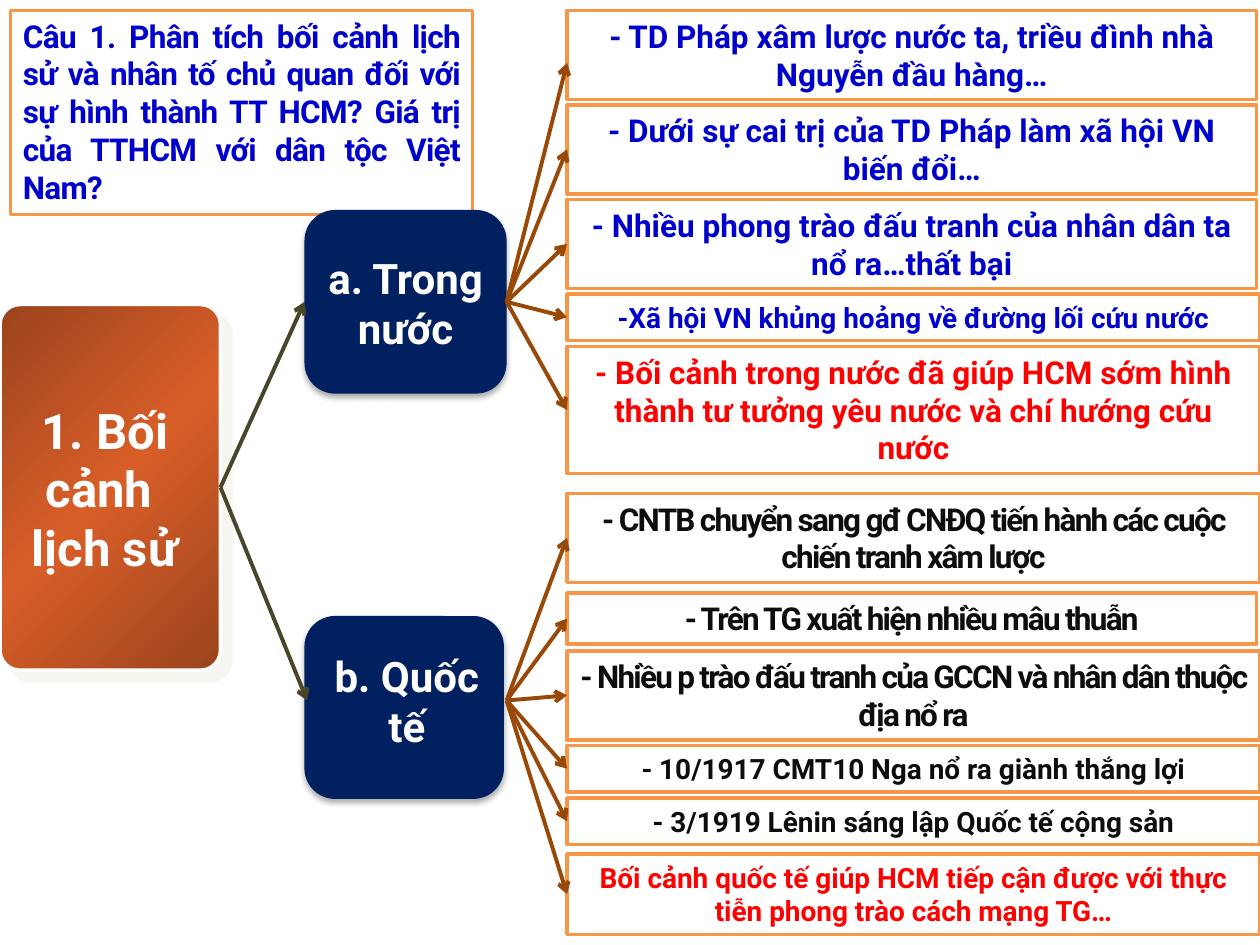
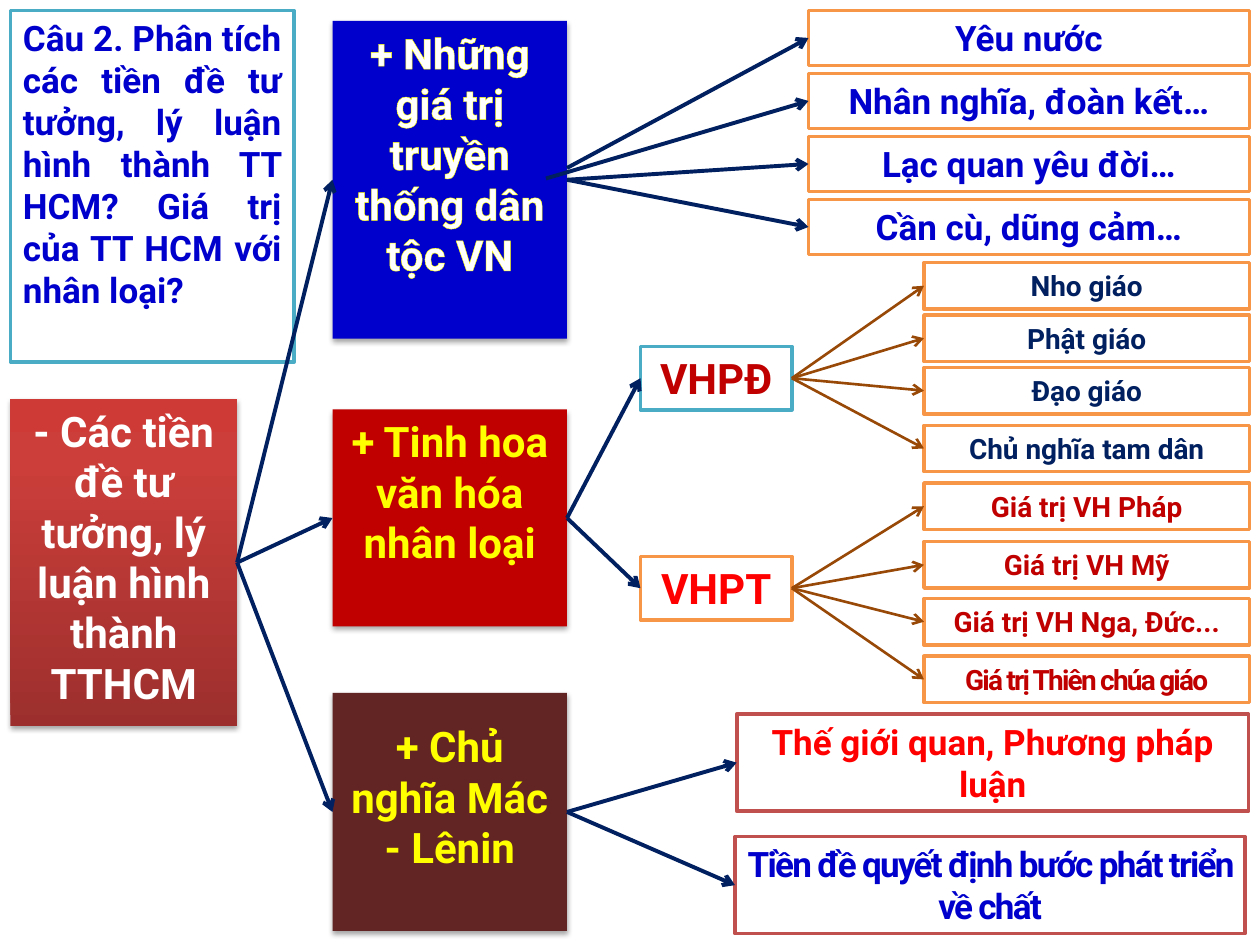
import pptx
import pptx.util
import pptx.dml.color
import pptx.enum.shapes
import pptx.enum.text
import pptx.oxml
import pptx.oxml.ns

Pt = pptx.util.Pt
KIND = pptx.enum.shapes.MSO_SHAPE
ALIGN = pptx.enum.text.PP_ALIGN
ANCHOR = pptx.enum.text.MSO_ANCHOR
qn = pptx.oxml.ns.qn
NS = 'xmlns:a="http://schemas.openxmlformats.org/drawingml/2006/main"'

FONT = "Roboto"
WHITE, BLUE, RED, INK = "FFFFFF", "0000CC", "FF0000", "0D0D0D"
NAVY, CRIMSON, YELLOW = "002060", "C00000", "FFFF00"
ORANGE, TEAL, ROSE = "F79646", "4BACC6", "C0504D"
BROWN, OLIVE = "984807", "4A452A"

# Shadows: colour, opacity %, blur, distance, angle
SOFT = ("000000", 35, 3.1, 1.8, 90)
DEEP = ("000000", 32, 3.5, 2.2, 90)
PALE = ("EEECE1", 50, 0, 8.5, 45)
# Gradients: angle, then (position %, colour)
RUST = (45, [(0, "9B431D"), (50, "D85E28"), (100, "9B431D")])
BRICK = (270, [(0, "9C2F2D"), (80, "CB3E3A"), (100, "CE3B37")])

ASK_1 = ("Câu 1. Phân tích bối cảnh lịch sử và nhân tố chủ quan đối với sự hình "
         "thành TT HCM? Giá trị của TTHCM với dân tộc Việt Nam? ")
ASK_2 = ("Câu 2. Phân tích các tiền đề tư tưởng, lý luận hình thành TT HCM? "
         "Giá trị của TT HCM với nhân loại?")

# Leaves of slide 1: top, width, lines, size, colour, spacing, text
HOME = [
    (6, 394, 2, 18, BLUE, 0, "- TD Pháp xâm lược nước ta, triều đình nhà Nguyễn đầu hàng…"),
    (60, 394, 2, 18, BLUE, 0, "- Dưới sự cai trị của TD Pháp làm xã hội VN biến đổi…"),
    (114, 394, 2, 18, BLUE, 0, "- Nhiều phong trào đấu tranh của nhân dân ta nổ ra…thất bại"),
    (168, 396, 1, 16, BLUE, 0, "-Xã hội VN khủng hoảng về đường lối cứu nước"),
    (198, 396, 3, 18, RED, 0, "- Bối cảnh trong nước đã giúp HCM sớm hình thành tư tưởng "
                              "yêu nước và chí hướng cứu nước"),
]
WORLD = [
    (282, 396, 2, 18, INK, -1, "- CNTB chuyển sang gđ CNĐQ tiến hành các cuộc chiến tranh xâm lược"),
    (339, 394, 1, 18, INK, -1, "- Trên TG xuất hiện nhiều mâu thuẫn"),
    (372, 396, 2, 18, INK, -1, "- Nhiều p trào đấu tranh của GCCN và nhân dân thuộc địa nổ ra"),
    (426, 396, 1, 16, INK, 0, "- 10/1917 CMT10 Nga nổ ra giành thắng lợi"),
    (456, 396, 1, 16, INK, 0, "- 3/1919 Lênin sáng lập Quốc tế cộng sản"),
    (488, 396, 2, 16, RED, 0, "Bối cảnh quốc tế giúp HCM tiếp cận được với thực tiễn "
                              "phong trào cách mạng TG…"),
]

# Blocks of slide 2: top, height, fill, text colour, top inset, text
BLOCKS = [
    (12, 181.5, BLUE, WHITE, 3.6, "+ Những giá trị truyền thống dân tộc VN"),
    (234, 124, CRIMSON, YELLOW, 3.6, "+ Tinh hoa văn hóa nhân loại"),
    (396, 136, "632523", YELLOW, 16, "+ Chủ nghĩa Mác - Lênin"),
]
VALUES = ["Yêu nước", "Nhân nghĩa, đoàn kết…", "Lạc quan yêu đời…", "Cần cù, dũng cảm…"]
# Cultures: top, border, colour, label, leaf colour, leaves (top, spacing, text)
CULTURES = [
    (198, TEAL, CRIMSON, "VHPĐ", NAVY,
     [(150, 0, "Nho giáo"), (180, 0, "Phật giáo"), (210, 0, "Đạo giáo"),
      (243, 0, "Chủ nghĩa tam dân")]),
    (318, ORANGE, RED, "VHPT", CRIMSON,
     [(276, 0, "Giá trị VH Pháp"), (309.5, 0, "Giá trị VH Mỹ"),
      (342, 0, "Giá trị VH Nga, Đức..."), (375, -1, "Giá trị Thiên chúa giáo")]),
]
# Doctrine leaves: left, top, width, colour, spacing, text
DOCTRINE = [
    (421, 408, 292.5, RED, 0, "Thế giới quan, Phương pháp luận"),
    (420, 478, 291.5, BLUE, -1, "Tiền đề quyết định bước phát triển về chất"),
]


def rgb(code):
    return pptx.dml.color.RGBColor.from_string(code)


def tall(size, lines=1):
    """Height of a box that holds this many lines of text."""
    return 7.2 + lines * size * 1.21


def put(item, **values):
    for name, value in values.items():
        setattr(item, name, value)


def xml(text):
    return pptx.oxml.parse_xml(text.replace(" NS", " " + NS, 1))


def blend(shape, angle, stops):
    shape.fill.gradient()
    props = shape.element.spPr
    marks = "".join(f'<a:gs pos="{at * 1000}"><a:srgbClr val="{code}"/></a:gs>'
                    for at, code in stops)
    props.replace(props.find(qn("a:gradFill")), xml(
        f'<a:gradFill NS rotWithShape="1"><a:gsLst>{marks}</a:gsLst>'
        f'<a:lin ang="{angle * 60000}" scaled="0"/></a:gradFill>'))


def shade(shape, code, alpha, blur, dist, angle):
    shape.element.spPr.find(qn("a:effectLst")).append(xml(
        f'<a:outerShdw NS blurRad="{Pt(blur)}" dist="{Pt(dist)}" dir="{angle * 60000}" '
        f'rotWithShape="0"><a:srgbClr val="{code}"><a:alpha val="{alpha * 1000}"/>'
        f'</a:srgbClr></a:outerShdw>'))


def write(shape, text, size, color, space=0, align=ALIGN.CENTER,
          anchor=ANCHOR.TOP, inset=3.6, edge=None):
    frame = shape.text_frame
    put(frame, word_wrap=True, vertical_anchor=anchor, margin_top=Pt(inset))
    frame.text = text
    for para in frame.paragraphs:
        para.alignment = align
        for run in para.runs:
            put(run.font, name=FONT, size=Pt(size), bold=True)
            run.font.color.rgb = rgb(color)
            props = run.font._element
            if space:
                props.set("spc", str(round(space * 100)))
            if edge:
                props.insert(0, xml(f'<a:ln NS w="{Pt(0.75)}"><a:solidFill>'
                                    f'<a:srgbClr val="{edge}"/></a:solidFill></a:ln>'))


def box(page, area, fill=WHITE, border=None, shadow=None, kind=KIND.RECTANGLE):
    shape = page.shapes.add_shape(kind, *map(Pt, area))
    shape.shadow.inherit = False
    if isinstance(fill, tuple):
        blend(shape, *fill)
    else:
        shape.fill.solid()
        shape.fill.fore_color.rgb = rgb(fill)
    if border:
        shape.line.color.rgb = rgb(border)
        shape.line.width = Pt(2)
    else:
        shape.line.fill.background()
    if shadow:
        shade(shape, *shadow)
    return shape


def card(page, area, text, size, color, border=ORANGE, **look):
    """White bordered box with text."""
    shape = box(page, area, border=border)
    write(shape, text, size, color, **look)
    return shape


def label(page, area, text, size, **look):
    write(page.shapes.add_textbox(*map(Pt, area)), text, size, WHITE, **look)


def link(page, start, end, color, width=2.25):
    """Arrow between two ends; an end is a shape to join or a free point."""
    line = page.shapes.add_connector(pptx.enum.shapes.MSO_CONNECTOR.STRAIGHT, 0, 0, 0, 0)
    if isinstance(start, tuple):
        put(line, begin_x=Pt(start[0]), begin_y=Pt(start[1]))
    else:
        line.begin_connect(start, 3)
    if isinstance(end, tuple):
        put(line, end_x=Pt(end[0]), end_y=Pt(end[1]))
    else:
        line.end_connect(end, 1)
    line.line.color.rgb = rgb(color)
    line.line.width = Pt(width)
    line.line._get_or_add_ln().append(xml('<a:tailEnd NS type="arrow"/>'))
    line._element.spPr.append(xml("<a:effectLst NS/>"))


def context(page):
    card(page, (6, 6, 264, 116.5), ASK_1, 18, BLUE, space=-0.4, align=ALIGN.JUSTIFY)
    root = box(page, (0, 174, 126, 209), RUST, WHITE, PALE, KIND.ROUNDED_RECTANGLE)
    root.adjustments[0] = 0.091
    label(page, (6, 224.5, 108, 109), "1. Bối cảnh \nlịch sử", 28, anchor=ANCHOR.MIDDLE)
    home = box(page, (174, 120, 115.5, 105), NAVY, None, DEEP, KIND.ROUNDED_RECTANGLE)
    label(page, (174, 140.5, 115.5, 66), "a. Trong nước", 24)
    box(page, (174, 352, 114, 104.5), NAVY, None, DEEP, KIND.ROUNDED_RECTANGLE)
    label(page, (175.5, 368, 114, 66), "b. Quốc tế", 24)
    for end in (home, (175.5, 400.3)):
        link(page, root, end, OLIVE)
    for hub, rows in ((home, HOME), ((289.5, 400.3), WORLD)):
        for top, width, lines, size, color, space, text in rows:
            leaf = card(page, (324, top, width, tall(size, lines)), text, size, color,
                        space=space)
            link(page, hub, (324, 36) if top == 6 else leaf, BROWN)


def sources(page):
    card(page, (6, 6, 162, 201), ASK_2, 20, BLUE, TEAL, align=ALIGN.JUSTIFY)
    root = box(page, (6, 228, 129.5, 187), BRICK, shadow=SOFT)
    write(root, "- Các tiền đề tư tưởng, lý luận hình thành TTHCM", 24, WHITE)
    blocks = []
    for top, height, fill, color, inset, text in BLOCKS:
        block = box(page, (190, top, 134, height), fill, shadow=SOFT)
        write(block, text, 24, color, inset=inset, edge=YELLOW)
        link(page, root, block, NAVY)
        blocks.append(block)
    custom, culture, creed = blocks

    starts = [(324, 96), (312, 102), custom, custom]
    for row, (start, text) in enumerate(zip(starts, VALUES)):
        leaf = card(page, (462, 6 + 36 * row, 252, tall(20)), text, 20, BLUE)
        link(page, start, leaf, NAVY)

    for top, border, color, name, shade_of, leaves in CULTURES:
        branch = card(page, (366, top, 86.5, tall(24)), name, 24, color, border)
        link(page, culture, branch, NAVY)
        for level, space, text in leaves:
            leaf = card(page, (528, level, 186, tall(16)), text, 16, shade_of, space=space)
            link(page, branch, leaf, BROWN, 1.5)

    for left, top, width, color, space, text in DOCTRINE:
        leaf = card(page, (left, top, width, tall(20, 2)), text, 20, color, ROSE, space=space)
        link(page, creed, leaf, NAVY)


def main():
    deck = pptx.Presentation()
    put(deck, slide_width=Pt(720), slide_height=Pt(540))
    for draw in (context, sources):
        draw(deck.slides.add_slide(deck.slide_layouts[6]))
    deck.save("out.pptx")


if __name__ == "__main__":
    main()
